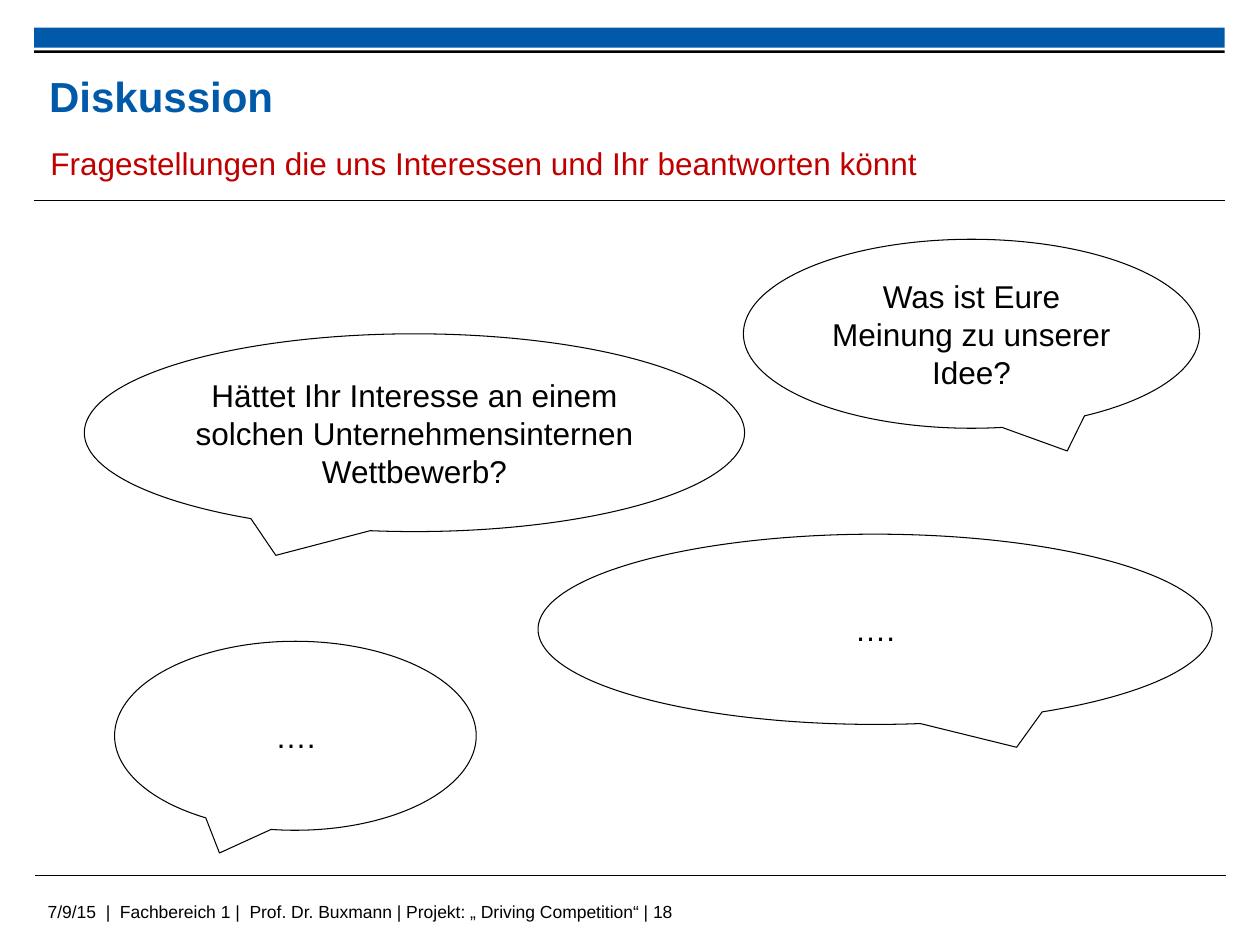
from pptx import Presentation
from pptx.dml.color import RGBColor
from pptx.enum.shapes import MSO_CONNECTOR as Connector, MSO_SHAPE as Shape
from pptx.enum.text import MSO_ANCHOR as Anchor, PP_ALIGN as Align
from pptx.oxml.ns import qn
from pptx.util import Inches, Pt
from lxml.etree import SubElement

SLIDE_WIDTH, SLIDE_HEIGHT = Inches(10), Inches(7.5)
BLUE, RED, BLACK = "005AA9", "C00000", "000000"
MARGIN, CONTENT_WIDTH = 2.7, 94.5
HAIRLINE = Pt(0.6)


def color(hex_code):
    """Turn a hex string into a colour."""
    return RGBColor.from_string(hex_code)


def place(left, top, width, height):
    """Turn percentages of the slide's size into lengths."""
    return (int(SLIDE_WIDTH * left / 100), int(SLIDE_HEIGHT * top / 100),
            int(SLIDE_WIDTH * width / 100), int(SLIDE_HEIGHT * height / 100))


def write(frame, wording, size, ink=BLACK, bold=False, align=Align.LEFT, anchor=Anchor.MIDDLE):
    """Fill a text frame with one formatted paragraph."""
    frame.word_wrap = True
    frame.vertical_anchor = anchor
    frame.text = wording
    paragraph = frame.paragraphs[0]
    paragraph.alignment = align
    font = paragraph.runs[0].font
    font.name, font.size, font.bold = "Arial", Pt(size), bold
    font.color.rgb = color(ink)


def add_bar(slide, top, height, fill):
    """Draw a filled bar across the content width."""
    bar = slide.shapes.add_shape(Shape.RECTANGLE, *place(MARGIN, top, CONTENT_WIDTH, height))
    bar.shadow.inherit = False
    bar.fill.solid()
    bar.fill.fore_color.rgb = color(fill)
    bar.line.fill.background()


def add_rule(slide, left, top):
    """Draw a thin horizontal rule."""
    x, y, length, _ = place(left, top, CONTENT_WIDTH, 0)
    rule = slide.shapes.add_connector(Connector.STRAIGHT, x, y, x + length, y)
    rule.line.color.rgb = color(BLACK)
    rule.line.width = HAIRLINE
    SubElement(rule._element.spPr, qn("a:effectLst"))


def add_label(slide, box, wording, size, inset=(0, 0), **style):
    """Place a text box with horizontal and vertical insets in inches."""
    frame = slide.shapes.add_textbox(*place(*box)).text_frame
    frame.margin_left = frame.margin_right = Inches(inset[0])
    frame.margin_top = frame.margin_bottom = Inches(inset[1])
    write(frame, wording, size, **style)


def add_bubble(slide, box, question, tail):
    """Draw a speech bubble whose tail leans left (-1) or right (1)."""
    bubble = slide.shapes.add_shape(Shape.OVAL_CALLOUT, *place(*box))
    bubble.shadow.inherit = False
    bubble.adjustments[0] = 0.21 * tail
    bubble.adjustments[1] = 0.62
    bubble.fill.background()
    bubble.line.color.rgb = color(BLACK)
    bubble.line.width = HAIRLINE
    write(bubble.text_frame, question, 18, align=Align.CENTER)


def main():
    """Build the discussion slide."""
    deck = Presentation()
    deck.slide_width, deck.slide_height = SLIDE_WIDTH, SLIDE_HEIGHT
    slide = deck.slides.add_slide(deck.slide_layouts[6])

    add_bar(slide, 2.93, 2.13, BLUE)
    add_rule(slide, MARGIN, 21.2)
    add_bar(slide, 5.33, 0.27, BLACK)
    add_rule(slide, 2.8, 92.67)

    add_label(slide, (2.8, 94.67, 78.7, 3.33),
              "7/9/15  |  Fachbereich 1 |  Prof. Dr. Buxmann | Projekt: „ Driving Competition“ | 18",
              10, inset=(0.1, 0.05), anchor=Anchor.TOP)
    add_label(slide, (3.9, 7.07, 72.6, 6.13), "Diskussion", 24, ink=BLUE, bold=True)
    add_label(slide, (4, 14.8, 87, 4.8),
              "Fragestellungen die uns Interessen und Ihr beantworten könnt", 18, ink=RED)

    bubbles = [
        ((59, 25.33, 36.2, 20), "Was ist Eure Meinung zu unserer Idee?", 1),
        ((6.7, 35.33, 52.4, 20.93),
         "Hättet Ihr Interesse an einem solchen Unternehmensinternen Wettbewerb?", -1),
        ((9.1, 67.87, 28.7, 20), "….", -1),
        ((42.7, 56.53, 53.5, 20.13), "….", 1),
    ]
    for box, question, tail in bubbles:
        add_bubble(slide, box, question, tail)

    deck.save("out.pptx")


if __name__ == "__main__":
    main()
